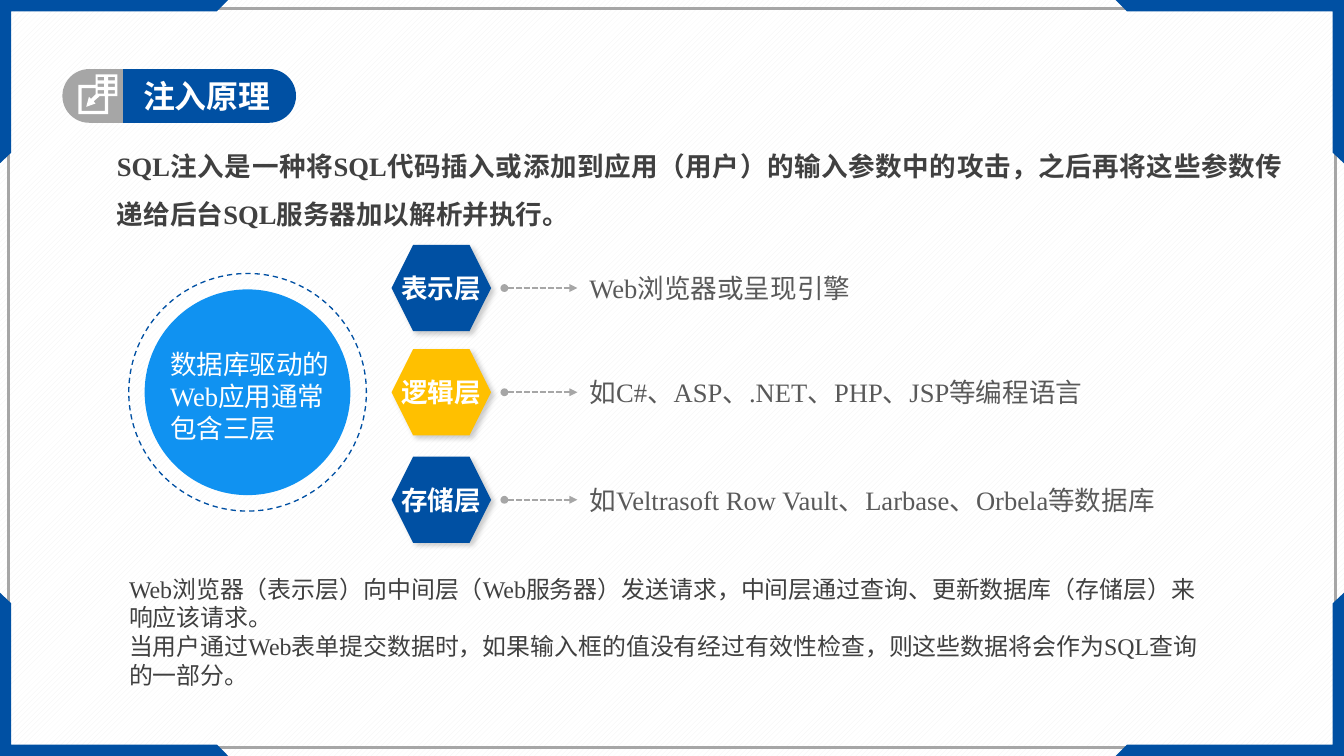
from lxml import etree
from pptx import Presentation
from pptx.dml.color import RGBColor
from pptx.enum.dml import MSO_LINE, MSO_PATTERN
from pptx.enum.shapes import MSO_CONNECTOR, MSO_SHAPE
from pptx.enum.text import MSO_ANCHOR, MSO_AUTO_SIZE, PP_ALIGN
from pptx.oxml.ns import qn
from pptx.util import Pt

WIDTH, HEIGHT = 1012.5, 569.5
FONT = "Times New Roman"
COLOURS = {
    "blue": "0050A3", "bright": "1092F1", "yellow": "FFC000", "grey": "A6A6A6",
    "dark": "404040", "medium": "595959", "pale": "F2F2F2",
    "white": "FFFFFF", "black": "000000",
}
RECTANGLE = MSO_SHAPE.RECTANGLE
OVAL = MSO_SHAPE.OVAL
HEXAGON = MSO_SHAPE.HEXAGON
HALF_PILL = MSO_SHAPE.ROUND_2_SAME_RECTANGLE
STRAIGHT = MSO_CONNECTOR.STRAIGHT
DASH, SHORT_DASH = MSO_LINE.DASH, MSO_LINE.SQUARE_DOT
DIAGONAL = MSO_PATTERN.WIDE_UPWARD_DIAGONAL
TOP, MIDDLE = MSO_ANCHOR.TOP, MSO_ANCHOR.MIDDLE
LEFT, CENTER, JUSTIFY = PP_ALIGN.LEFT, PP_ALIGN.CENTER, PP_ALIGN.JUSTIFY
NO_AUTOFIT = MSO_AUTO_SIZE.NONE

INTRO = ("SQL注入是一种将SQL代码插入或添加到应用（用户）的输入参数中的攻击，"
         "之后再将这些参数传递给后台SQL服务器加以解析并执行。")
LAYERS = [
    ("表示层", "blue", 184.5, 411, "Web浏览器或呈现引擎"),
    ("逻辑层", "yellow", 263, 411, "如C#、ASP、.NET、PHP、JSP等编程语言"),
    ("存储层", "blue", 344, 499, "如Veltrasoft Row Vault、Larbase、Orbela等数据库"),
]
DETAILS = [
    "Web浏览器（表示层）向中间层（Web服务器）发送请求，"
    "中间层通过查询、更新数据库（存储层）来响应该请求。",
    "当用户通过Web表单提交数据时，如果输入框的值没有经过有效性检查，"
    "则这些数据将会作为SQL查询的一部分。",
]


def colour(name):
    """Return the named colour."""
    return RGBColor.from_string(COLOURS[name])


def paint(shape, fill=None, line=None, weight=1):
    """Set fill and outline, leaving out whichever is not named."""
    shape.shadow.inherit = False
    if fill:
        shape.fill.solid()
        shape.fill.fore_color.rgb = colour(fill)
    else:
        shape.fill.background()
    if line:
        shape.line.color.rgb = colour(line)
        shape.line.width = Pt(weight)
    else:
        shape.line.fill.background()


def add_preset(page, kind, box, **look):
    """Add a painted preset shape."""
    shape = page.shapes.add_shape(kind, *map(Pt, box))
    paint(shape, **look)
    return shape


def add_outline(page, contours, fill):
    """Add a filled freeform made of closed contours."""
    pens = [[(Pt(x), Pt(y)) for x, y in contour] for contour in contours]
    builder = page.shapes.build_freeform(*pens[0][0], scale=1.0)
    builder.add_line_segments(pens[0][1:], close=True)
    for pen in pens[1:]:
        builder.move_to(*pen[0])
        builder.add_line_segments(pen[1:], close=True)
    paint(builder.convert_to_shape(), fill=fill)


def write(shape, paragraphs, size, ink, bold=False, align=LEFT, anchor=TOP,
          spacing=1.0, insets=(7.2, 3.6), wrap=True):
    """Fill a shape with formatted paragraphs."""
    frame = shape.text_frame
    frame.auto_size = NO_AUTOFIT
    frame.word_wrap = wrap
    frame.vertical_anchor = anchor
    frame.margin_left = frame.margin_right = Pt(insets[0])
    frame.margin_top = frame.margin_bottom = Pt(insets[1])
    for index, words in enumerate(paragraphs):
        para = frame.add_paragraph() if index else frame.paragraphs[0]
        para.alignment = align
        para.line_spacing = spacing
        para.space_before = Pt(0)
        span = para.add_run()
        span.text = words
        span.font.name = FONT
        span.font.size = Pt(size)
        span.font.bold = bold
        span.font.color.rgb = colour(ink)


def add_text(page, box, words, **style):
    """Add a text box with one paragraph."""
    write(page.shapes.add_textbox(*map(Pt, box)), [words], **style)


def place(shape, box):
    """Move a placeholder into a box, in front of everything so far."""
    shape.left, shape.top, shape.width, shape.height = map(Pt, box)
    shape.element.getparent().append(shape.element)


def add_frame(page, box):
    """Draw the backdrop, the thin border and four mirrored corners."""
    left, top, width, height = box
    page.background.fill.patterned()
    page.background.fill.pattern = DIAGONAL
    page.background.fill.fore_color.rgb = colour("pale")
    page.background.fill.back_color.rgb = colour("white")
    inner = (left + 6.5, top + 6.5, width - 13, height - 13)
    add_preset(page, RECTANGLE, inner, line="grey", weight=2)
    corner = [(0, 0), (172, 0), (163.5, 8.5), (8.5, 8.5), (8.5, 115), (0, 123)]
    for x, across in ((left, 1), (left + width, -1)):
        for y, down in ((top, 1), (top + height, -1)):
            points = [(x + across * dx, y + down * dy) for dx, dy in corner]
            add_outline(page, [points], "blue")


def add_icon(page, left, top):
    """Draw the sheet with a table and an arrow."""
    contours = [
        [(13, 0), (29.5, 0), (29.5, 16.5), (22.5, 16.5), (22.5, 30), (0, 30),
         (0, 8), (13, 8)],
        [(20, 27.5), (2.5, 27.5), (2.5, 10.5), (13, 10.5), (13, 15), (9.5, 18.5),
         (8, 17), (6, 24.5), (13, 22), (11.5, 20.5), (16, 16.5), (20, 16.5)],
    ]
    for x in (14.5, 22.5):
        for y in (2, 7, 12):
            contours.append([(x, y), (x, y + 2.5), (x + 5, y + 2.5), (x + 5, y)])
    add_outline(page, [[(left + x, top + y) for x, y in contour]
                       for contour in contours], "white")


def add_heading(page, box):
    """Build the two-part pill with icon and title."""
    left, top, width, height = box
    seam = 45.5
    for start, length, turn, fill in ((left + seam, width - seam, 90, "blue"),
                                      (left, seam, 270, "grey")):
        upright = (start + (length - height) / 2, top + (height - length) / 2,
                   height, length)
        half = add_preset(page, HALF_PILL, upright, fill=fill)
        half.adjustments[0], half.adjustments[1] = 0.5, 0
        half.rotation = turn
    add_icon(page, left + 12, top + 4)
    title = page.shapes.title
    place(title, (left + 50, top, width - 50, height))
    write(title, ["注入原理"], size=24, ink="white", bold=True, anchor=MIDDLE,
          insets=(10.8, 0))


def add_hub(page, box):
    """Draw the disc in its dashed ring, with its text."""
    left, top, width, height = box
    ring = add_preset(page, OVAL, box, line="blue")
    ring.line.dash_style = DASH
    gap = 12
    disc = (left + gap, top + gap, width - 2 * gap, height - 2 * gap)
    add_preset(page, OVAL, disc, fill="bright")
    add_text(page, (left + 24, top + 52.5, 147.5, 80),
             "数据库驱动的Web应用通常包含三层", size=20, ink="white")


def add_layer(page, box, name, fill, words):
    """Draw one layer: hexagon, dotted arrow and description."""
    left, top, width, height = box
    middle = top + height / 2
    badge = add_preset(page, HEXAGON, (left, top, 75, height), fill=fill)
    effects = badge.element.spPr.find(qn("a:effectLst"))
    shade = etree.SubElement(effects, qn("a:outerShdw"), blurRad=str(Pt(4)),
                             dist=str(Pt(3)), dir="2700000", algn="tl")
    tint = etree.SubElement(shade, qn("a:srgbClr"), val=COLOURS["black"])
    etree.SubElement(tint, qn("a:alpha"), val="20000")
    write(badge, [name], size=20, ink="white", bold=True, align=CENTER,
          anchor=MIDDLE, insets=(0, 0), wrap=False)
    arrow = page.shapes.add_connector(
        STRAIGHT, Pt(left + 85), Pt(middle), Pt(left + 140), Pt(middle))
    arrow.line.color.rgb = colour("grey")
    arrow.line.width = Pt(1.5)
    arrow.line.dash_style = SHORT_DASH
    for end, kind in (("a:headEnd", "oval"), ("a:tailEnd", "triangle")):
        etree.SubElement(arrow.line._get_or_add_ln(), qn(end), type=kind)
    etree.SubElement(arrow.element.spPr, qn("a:effectLst"))
    add_text(page, (left + 142, top, width - 142, height), words, size=20,
             ink="medium", anchor=MIDDLE)


def add_details(page, box):
    """Set the closing paragraphs in the body placeholder."""
    body = page.placeholders[1]
    place(body, box)
    write(body, DETAILS, size=18, ink="dark")
    for para in body.text_frame.paragraphs:
        settings = para._p.get_or_add_pPr()
        settings.set("marL", "0")
        settings.set("indent", "0")
        etree.SubElement(settings, qn("a:buNone"))


def main():
    """Build the slide and save it."""
    deck = Presentation()
    deck.slide_width, deck.slide_height = Pt(WIDTH), Pt(HEIGHT)
    page = deck.slides.add_slide(deck.slide_layouts[1])
    add_frame(page, (0, 0, WIDTH, HEIGHT))
    add_heading(page, (47, 52, 176, 40.5))
    add_text(page, (81, 97.5, 892, 80), INTRO, size=20, ink="dark", bold=True,
             align=JUSTIFY, spacing=1.5)
    add_hub(page, (97, 206, 179, 179))
    for name, fill, top, text_width, words in LAYERS:
        add_layer(page, (295, top, 142 + text_width, 65), name, fill, words)
    add_details(page, (90, 429, 832.5, 94.5))
    deck.save("out.pptx")


if __name__ == "__main__":
    main()
